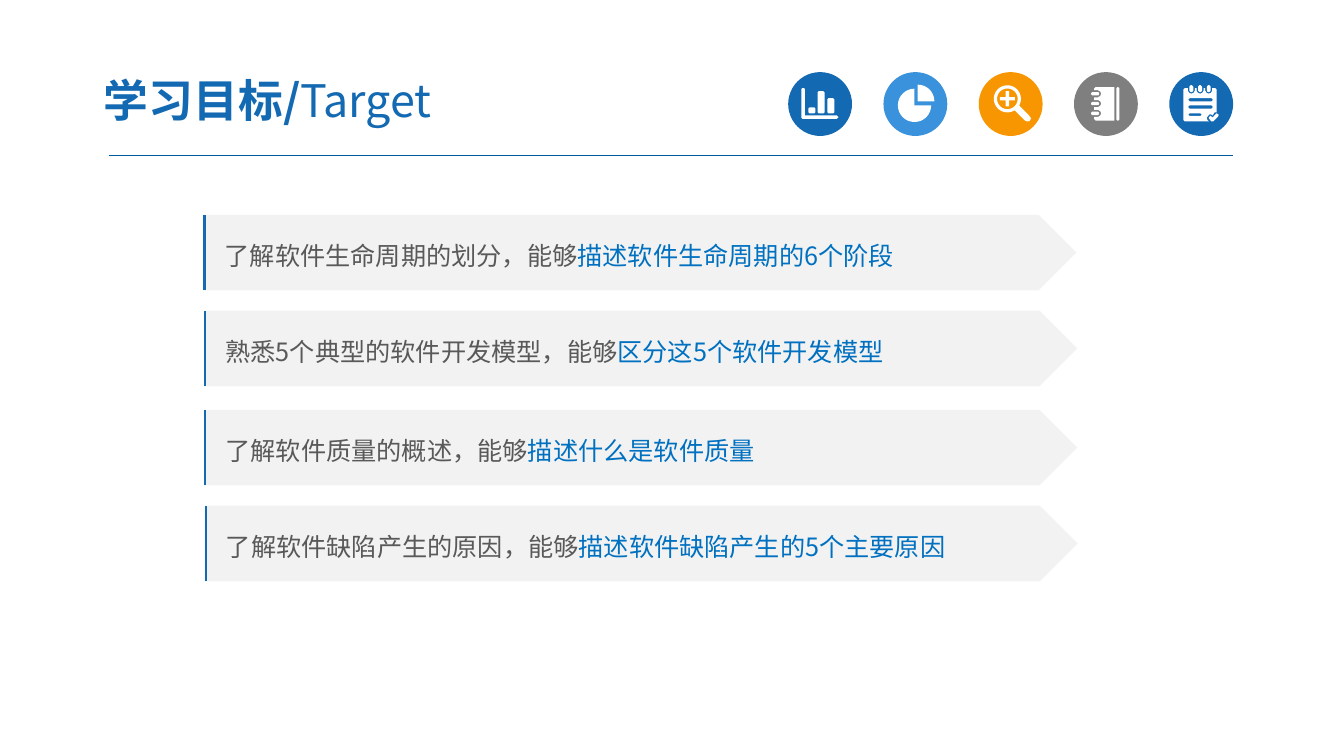
from math import cos, radians, sin
from lxml import etree
from pptx import Presentation
from pptx.dml.color import RGBColor as RGB
from pptx.enum.shapes import MSO_CONNECTOR as CONN, MSO_SHAPE as SHAPE
from pptx.enum.text import MSO_ANCHOR as ANCHOR, MSO_AUTO_SIZE as FIT, PP_ALIGN as ALIGN
from pptx.oxml.ns import qn
from pptx.util import Pt

FONT = "Noto Sans CJK SC"
COLORS = {"blue": "1369B2", "sky": "3992DB", "orange": "F79600", "gray": "7F7F7F",
          "white": "FFFFFF", "rule": "005B9E", "plate": "F2F2F2",
          "text": "595959", "key": "0070C0"}

# Left and top of each goal, its opening words and its highlighted words
GOALS = [
    (145.4, 153.4, "了解软件生命周期的划分，能够", "描述软件生命周期的6个阶段"),
    (146, 221.9, "熟悉5个典型的软件开发模型，能够", "区分这5个软件开发模型"),
    (146, 292.7, "了解软件质量的概述，能够", "描述什么是软件质量"),
    (146.2, 361.2, "了解软件缺陷产生的原因，能够", "描述软件缺陷产生的5个主要原因"),
]
PLATE_W, PLATE_H = 623.5, 54
ICON_X, ICON_Y, ICON_D, ICON_STEP = 563, 51.5, 45.6, 68.05


def color(name):
    return RGB.from_string(COLORS[name])


def assign(target, values):
    for name, value in values.items():
        setattr(target, name, value)


def paint(sp, fill):
    sp.shadow.inherit = False
    sp.fill.solid()
    sp.fill.fore_color.rgb = color(fill)
    sp.line.fill.background()


def add_box(s, kind, x, y, w, h, fill):
    sp = s.shapes.add_shape(kind, Pt(x), Pt(y), Pt(w), Pt(h))
    paint(sp, fill)
    return sp


def add_line(s, x1, y1, x2, y2, name, width):
    line = s.shapes.add_connector(CONN.STRAIGHT, Pt(x1), Pt(y1), Pt(x2), Pt(y2))
    line.line.color.rgb = color(name)
    line.line.width = Pt(width)
    etree.SubElement(line._element.spPr, qn("a:effectLst"))


def add_run(p, text, size, name, bold=False):
    r = p.add_run()
    r.text = text
    assign(r.font, {"size": Pt(size), "bold": bold, "name": FONT})
    r.font.color.rgb = color(name)
    etree.SubElement(r.font._element, qn("a:ea"), typeface=FONT)


def add_title(s):
    title = s.shapes.title
    assign(title, {"left": Pt(64.4), "top": Pt(45.4), "width": Pt(376), "height": Pt(52)})
    tf = title.text_frame
    assign(tf, {"margin_left": Pt(9.6), "margin_right": Pt(9.6), "margin_top": Pt(5),
                "margin_bottom": Pt(5), "vertical_anchor": ANCHOR.MIDDLE,
                "word_wrap": True, "auto_size": FIT.NONE})
    p = tf.paragraphs[0]
    assign(p, {"alignment": ALIGN.LEFT, "space_before": Pt(0), "line_spacing": 1.0})
    add_run(p, "学习目标/", 32, "blue", True)
    add_run(p, "Target", 32, "blue")


def add_goal(s, left, top, opening, key):
    plate = add_box(s, SHAPE.PENTAGON, left, top, PLATE_W, PLATE_H, "plate")
    tf = plate.text_frame
    assign(tf, {"margin_left": Pt(15.1), "vertical_anchor": ANCHOR.MIDDLE, "word_wrap": True})
    p = tf.paragraphs[0]
    assign(p, {"alignment": ALIGN.LEFT, "line_spacing": 1.2})
    add_run(p, opening, 18, "text")
    add_run(p, key, 18, "key")
    add_line(s, left + 0.7, top + PLATE_H, left + 0.7, top, "blue", 1.5)


# Icon outlines, in points from the corner of the disc
def pill(x, y, w, h, cut=0.8):
    r, b = x + w, y + h
    return [(x + cut, y), (r - cut, y), (r, y + cut), (r, b - cut),
            (r - cut, b), (x + cut, b), (x, b - cut), (x, y + cut)]


def arc(cx, cy, radius, start, end, steps=24):
    angles = [radians(start + (end - start) * i / steps) for i in range(steps + 1)]
    return [(cx + radius * cos(a), cy + radius * sin(a)) for a in angles]


def bars_icon():
    axis = [(9.4, 12.2), (10.1, 11.5), (11.3, 11.5), (12, 12.2), (12, 31), (34.7, 31),
            (36, 32.2), (34.7, 33.5), (10.4, 33.5), (9.4, 32.6)]
    bars = [pill(x, 29.5 - h, 5, h) for x, h in ((14.4, 4.3), (21, 15.8), (28, 10.8))]
    return [axis] + bars


def pie_icon():
    return [arc(22.2, 23.8, 11.9, 0, 270) + [(22.2, 23.8)],
            arc(24.5, 20.9, 11.9, 270, 360, 8) + [(24.5, 20.9)]]


def zoom_icon():
    handle = [(29.5, 24.5), (36, 31), (37.4, 33.1), (36.3, 35), (34.6, 35.3),
              (33.1, 34.6), (25.9, 27.4)]
    plus = [(19.3, 13.7), (21.7, 13.7), (21.7, 17.9), (25.9, 17.9), (25.9, 20.3), (21.7, 20.3),
            (21.7, 24.5), (19.3, 24.5), (19.3, 20.3), (15.1, 20.3), (15.1, 17.9), (19.3, 17.9)]
    return [arc(20.5, 19.1, 9.7, 60, 390) + handle, arc(20.5, 19.1, 7.4, 0, 360), plus]


def notebook_icon():
    rings = (29.5, 22.5, 15.5)
    cover = [(14.4, 11.8), (15.4, 10.8), (28.8, 10.8), (28.8, 34.6), (15.4, 34.6), (14.4, 33.6)]
    for y in rings:
        cover += [(14.4, y + 2.5), (17.2, y + 2.5), (18.8, y + 1.5), (19.4, y),
                  (18.8, y - 1.5), (17.2, y - 2.5), (14.4, y - 2.5)]
    return [cover, pill(30.2, 10.8, 2.2, 23.8)] + [pill(12.2, y - 1.2, 5.8, 2.4) for y in rings]


def checklist_icon():
    rings = (15.8, 22, 28.2)
    page = [(10.1, 12.5), (11.1, 11.5)]
    for x in rings:
        page += [(x - 2.5, 11.5), (x - 2.5, 13.3), (x - 1.5, 14.9), (x, 15.4),
                 (x + 1.5, 14.9), (x + 2.5, 13.3), (x + 2.5, 11.5)]
    page += [(32.9, 11.5), (33.9, 12.5), (33.9, 28.8), (32.4, 28.8), (31, 31), (30.4, 30.4),
             (28.8, 30.2), (26.8, 32.4), (27.3, 34.4), (28.5, 35.3), (11.1, 35.3), (10.1, 34.3)]
    tick = [(28.1, 32.8), (29.3, 31.2), (31, 32.4), (33.8, 29.5), (35.3, 30.4),
            (35, 31.6), (31.4, 35.3), (30, 35.3)]
    lines = [pill(13.7, y, w, h) for y, w, h in ((18.7, 17.3, 2.2), (23.8, 17.3, 2.4),
                                                 (29.5, 9.4, 1.8))]
    return [page, tick] + lines + [pill(x - 1.4, 9.4, 2.8, 5, 1) for x in rings]


def add_icon(s, index, fill, outlines):
    left = ICON_X + index * ICON_STEP
    add_box(s, SHAPE.OVAL, left, ICON_Y, ICON_D, ICON_D, fill)
    builder = None
    for outline in outlines:
        points = [(Pt(left + x), Pt(ICON_Y + y)) for x, y in outline]
        if builder is None:
            builder = s.shapes.build_freeform(*points[0])
        else:
            builder.move_to(*points[0])
        builder.add_line_segments(points[1:], close=True)
    paint(builder.convert_to_shape(), "white")


def main():
    prs = Presentation()
    prs.slide_width, prs.slide_height = Pt(960), Pt(540)
    s = prs.slides.add_slide(prs.slide_layouts[5])

    # Header
    add_line(s, 78, 111.3, 880.6, 111.3, "rule", 0.75)
    icons = [("blue", bars_icon), ("sky", pie_icon), ("orange", zoom_icon),
             ("gray", notebook_icon), ("blue", checklist_icon)]
    for index, (fill, outline) in enumerate(icons):
        add_icon(s, index, fill, outline())
    add_title(s)

    # Goals
    for goal in GOALS:
        add_goal(s, *goal)

    prs.save("out.pptx")


if __name__ == "__main__":
    main()
